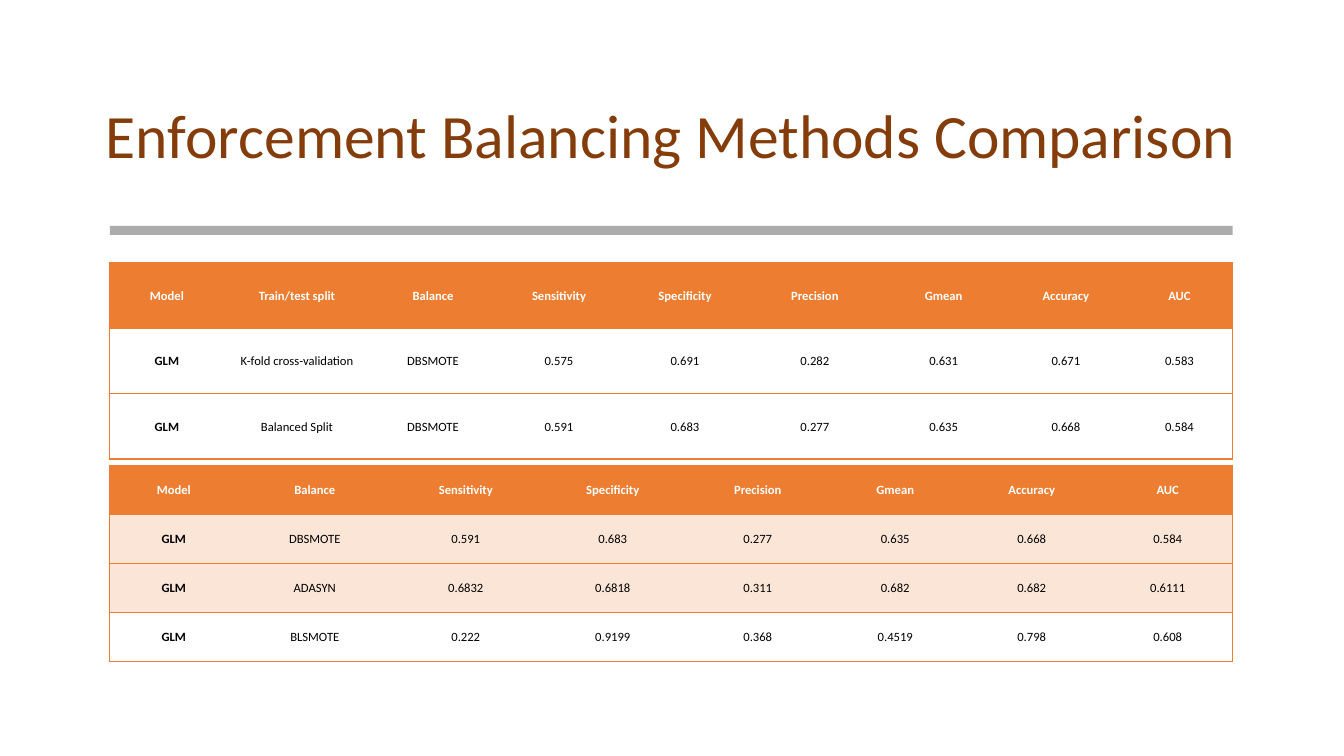
from lxml.etree import SubElement
from pptx import Presentation
from pptx.dml.color import RGBColor
from pptx.enum.shapes import MSO_SHAPE
from pptx.enum.text import MSO_ANCHOR, MSO_AUTO_SIZE, PP_ALIGN
from pptx.oxml.ns import qn
from pptx.util import Pt

COLORS = {
    "title": "843C0B",
    "rule": "808080",
    "accent": "ED7D31",
    "tint": "FBE5D6",
    "white": "FFFFFF",
    "black": "000000",
}
PLAIN_TABLE_STYLE = "{2D5ABB26-0587-4C30-8999-92F81FD0307C}"
LEFT, WIDTH, TABLE_HEIGHT = 78.5, 802.1, 140
METRICS = ["Sensitivity", "Specificity", "Precision", "Gmean", "Accuracy", "AUC"]

SPLIT_WIDTHS = [81.4, 104.4, 90, 90, 90, 95.5, 88.5, 86.2, 76.1]
SPLIT_RESULTS = [
    ["Model", "Train/test split", "Balance", *METRICS],
    ["GLM", "K-fold cross-validation", "DBSMOTE",
     "0.575", "0.691", "0.282", "0.631", "0.671", "0.583"],
    ["GLM", "Balanced Split", "DBSMOTE",
     "0.591", "0.683", "0.277", "0.635", "0.668", "0.584"],
]
BALANCE_WIDTHS = [91.3, 110.1, 105.7, 104.3, 102.9, 93.5, 101.5, 92.8]
BALANCE_RESULTS = [
    ["Model", "Balance", *METRICS],
    ["GLM", "DBSMOTE", "0.591", "0.683", "0.277", "0.635", "0.668", "0.584"],
    ["GLM", "ADASYN", "0.6832", "0.6818", "0.311", "0.682", "0.682", "0.6111"],
    ["GLM", "BLSMOTE", "0.222", "0.9199", "0.368", "0.4519", "0.798", "0.608"],
]


class ComparisonSlide:
    font_name = "Calibri"

    def __init__(self, presentation):
        self.slide = presentation.slides.add_slide(presentation.slide_layouts[5])

    def color(self, name):
        return RGBColor.from_string(COLORS[name])

    def style(self, paragraph, size, color, bold, align, spacing):
        paragraph.alignment = align
        paragraph.line_spacing = spacing
        for run in paragraph.runs:
            run.font.name = self.font_name
            run.font.size = Pt(size)
            run.font.bold = bold
            run.font.color.rgb = self.color(color)

    def title(self, wording, left, top, width, height):
        heading = self.slide.shapes.title
        heading.left, heading.top = Pt(left), Pt(top)
        heading.width, heading.height = Pt(width), Pt(height)
        frame = heading.text_frame
        frame.text = wording
        frame.word_wrap = True
        frame.auto_size = MSO_AUTO_SIZE.NONE
        frame.vertical_anchor = MSO_ANCHOR.MIDDLE
        self.style(frame.paragraphs[0], 44, "title", False, PP_ALIGN.LEFT, 0.9)

    def rule(self, top, height, opacity):
        bar = self.slide.shapes.add_shape(
            MSO_SHAPE.RECTANGLE, Pt(LEFT), Pt(top), Pt(WIDTH), Pt(height))
        bar.shadow.inherit = False
        bar.line.fill.background()
        bar.fill.solid()
        bar.fill.fore_color.rgb = self.color("rule")
        tone = next(bar.element.spPr.iter(qn("a:srgbClr")))
        SubElement(tone, qn("a:alpha"), val=str(opacity * 1000))

    def borders(self, cell, sides):
        properties = cell._tc.get_or_add_tcPr()
        for side in sides:
            edge = SubElement(properties, qn(f"a:ln{side}"), w=str(Pt(1)))
            paint = SubElement(edge, qn("a:solidFill"))
            SubElement(paint, qn("a:srgbClr"), val=COLORS["accent"])

    def cell(self, cell, wording, fill, color, bold, margin, sides):
        self.borders(cell, sides)
        cell.fill.solid()
        cell.fill.fore_color.rgb = self.color(fill)
        cell.margin_left = cell.margin_right = Pt(margin)
        cell.margin_top = cell.margin_bottom = 0
        cell.vertical_anchor = MSO_ANCHOR.MIDDLE
        cell.text = wording
        self.style(cell.text_frame.paragraphs[0], 9, color, bold,
                   PP_ALIGN.CENTER, 1.07)

    def table(self, top, widths, results, fills, margin):
        frame = self.slide.shapes.add_table(
            len(results), len(widths), Pt(LEFT), Pt(top), Pt(WIDTH), Pt(TABLE_HEIGHT))
        next(frame.element.iter(qn("a:tableStyleId"))).text = PLAIN_TABLE_STYLE
        grid = frame.table
        grid.horz_banding = False
        for column, width in zip(grid.columns, widths):
            column.width = Pt(width)
        for r, (record, fill) in enumerate(zip(results, fills)):
            grid.rows[r].height = Pt(TABLE_HEIGHT / len(results))
            for c, wording in enumerate(record):
                sides = "L" * (c == 0) + "R" * (c == len(widths) - 1) + "TB"
                self.cell(grid.cell(r, c), wording, fill,
                          "white" if r == 0 else "black",
                          r == 0 or c == 0, margin, sides)


def main():
    presentation = Presentation()
    presentation.slide_width, presentation.slide_height = Pt(960), Pt(540)
    comparison = ComparisonSlide(presentation)
    comparison.rule(161.3, 6.5, 65)
    comparison.title("Enforcement Balancing Methods Comparison", 68.4, 47.5, 823, 103)
    comparison.table(187.9, SPLIT_WIDTHS, SPLIT_RESULTS,
                     ["accent", "white", "white"], 2.9)
    comparison.table(332.6, BALANCE_WIDTHS, BALANCE_RESULTS,
                     ["accent", "tint", "tint", "white"], 3.6)
    presentation.save("out.pptx")


if __name__ == "__main__":
    main()
